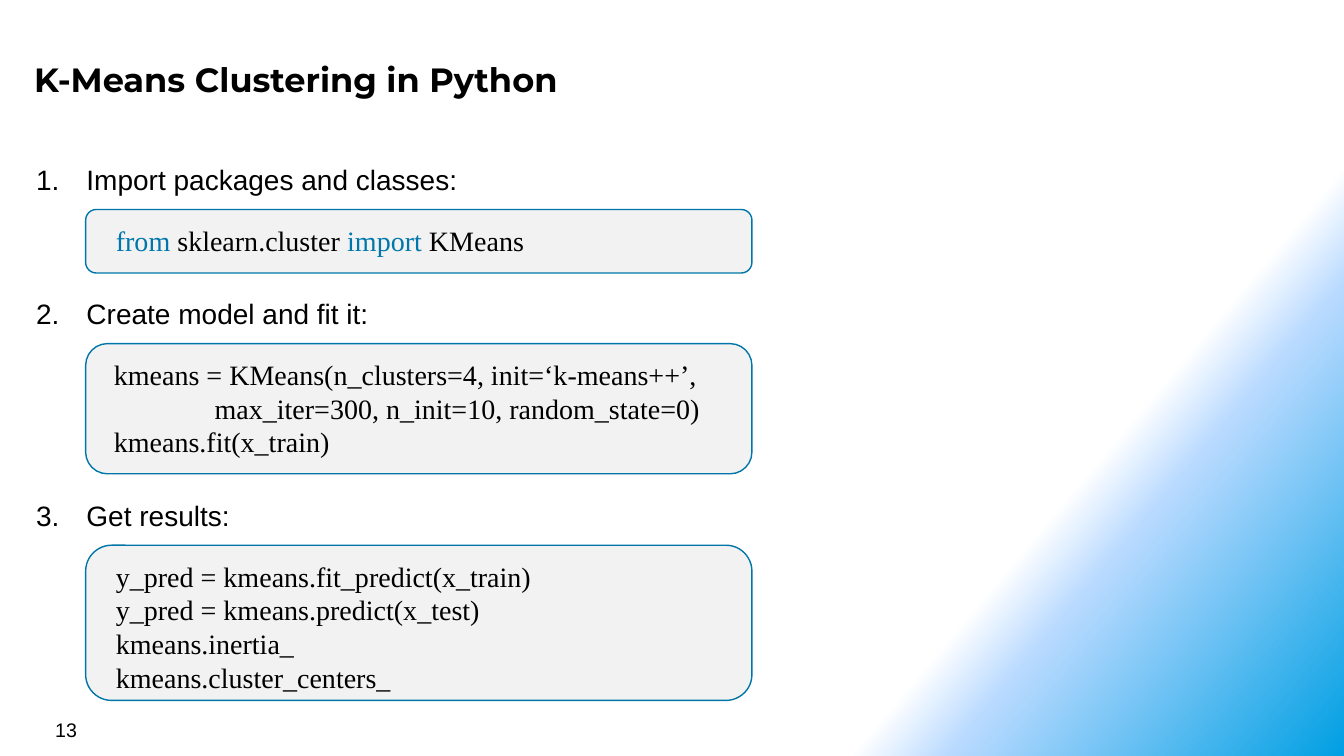
"""Build a slide on K-Means clustering in Python."""
from copy import deepcopy

from lxml import etree
from pptx import Presentation
from pptx.dml.color import RGBColor
from pptx.enum.shapes import MSO_SHAPE
from pptx.enum.text import MSO_ANCHOR, PP_ALIGN
from pptx.oxml.ns import qn
from pptx.util import Cm, Pt

ROUNDED = MSO_SHAPE.ROUNDED_RECTANGLE
MIDDLE = MSO_ANCHOR.MIDDLE
LEFT = PP_ALIGN.LEFT
COLOURS = {
    "text": "000000",
    "keyword": "0077AA",
    "panel": "F2F2F2",
    "outline": "0076A8",
    "white": "FFFFFF",
    "pale": "B9DAFF",
    "blue": "009FE3",
}


def colour(name):
    return RGBColor.from_string(COLOURS[name])


def write(paragraph, text, *, size=20, font="Arial", tint="text", bold=False, spacing=None):
    """Add one formatted run to a left-aligned paragraph."""
    paragraph.alignment = LEFT
    paragraph.line_spacing = spacing
    span = paragraph.add_run()
    span.text = text
    span.font.size = Pt(size)
    span.font.name = font
    span.font.bold = bold
    span.font.color.rgb = colour(tint)


deck = Presentation()
deck.slide_width, deck.slide_height = Cm(33.87), Cm(19.05)
page = deck.slides.add_slide(deck.slide_layouts[5])

background = page.background.fill
background.gradient()
background.gradient_angle = 320
stop_list = page.element.find(".//" + qn("a:gsLst"))
stop_list.append(deepcopy(stop_list[-1]))
stops = [(0.75, "white"), (0.8, "pale"), (1, "blue")]
for stop, (position, name) in zip(background.gradient_stops, stops):
    stop.position = position
    stop.color.rgb = colour(name)

title = page.shapes.title
title.left, title.top, title.width, title.height = Cm(0.66), Cm(1.3), Cm(31.14), Cm(1.4)
frame = title.text_frame
frame.margin_left = frame.margin_right = frame.margin_top = frame.margin_bottom = Cm(0.2)
frame.vertical_anchor = MIDDLE
write(frame.paragraphs[0], "K-Means Clustering in Python", size=24, font="Montserrat", bold=True)

number_box = page.shapes.add_textbox(Cm(1.14), Cm(17.96), Cm(7.9), Cm(0.84))
number_box.text_frame.vertical_anchor = MIDDLE
write(number_box.text_frame.paragraphs[0], "13", size=14)

steps_box = page.shapes.add_textbox(Cm(0.66), Cm(3.96), Cm(32.2), Cm(9.65))
frame = steps_box.text_frame
frame.word_wrap = True
steps = [("Import packages and classes:", 0), ("Create model and fit it:", 72), ("Get results:", 120)]
for index, (step, gap) in enumerate(steps):
    paragraph = frame.add_paragraph() if index else frame.paragraphs[0]
    write(paragraph, step, spacing=Pt(24))
    paragraph.space_before = Pt(gap)
    properties = paragraph._p.get_or_add_pPr()
    properties.set("marL", str(Cm(1.27)))
    properties.set("indent", str(-Cm(1.27)))
    etree.SubElement(properties, qn("a:buFont"), typeface="+mj-lt")
    etree.SubElement(properties, qn("a:buAutoNum"), type="arabicPeriod")

import_line = [("from ", "keyword"), ("sklearn.cluster ", "text"),
               ("import ", "keyword"), ("KMeans", "text")]
model_lines = ["kmeans = KMeans(n_clusters=4, init=‘k-means++’,",
               "max_iter=300, n_init=10, random_state=0)",
               "kmeans.fit(x_train)"]
result_lines = ["y_pred = kmeans.fit_predict(x_train)",
                "y_pred = kmeans.predict(x_test)",
                "kmeans.inertia_",
                "kmeans.cluster_centers_"]
panels = [
    (5.28, 1.6, 2.67, 16.28, [import_line]),
    (8.66, 3.28, 2.62, 15.6, [[(line, "text")] for line in model_lines]),
    (13.74, 3.91, 2.67, 15.6, [[(line, "text")] for line in result_lines]),
]
for top, height, text_left, text_width, lines in panels:
    panel = page.shapes.add_shape(ROUNDED, Cm(2.16), Cm(top), Cm(16.79), Cm(height))
    panel.shadow.inherit = False
    panel.fill.solid()
    panel.fill.fore_color.rgb = colour("panel")
    panel.line.color.rgb = colour("outline")
    panel.line.width = Pt(1)

    code_height = 0.27 + 0.85 * len(lines)
    code_box = page.shapes.add_textbox(Cm(text_left), Cm(top + 0.23), Cm(text_width), Cm(code_height))
    frame = code_box.text_frame
    frame.word_wrap = True
    for index, line in enumerate(lines):
        paragraph = frame.add_paragraph() if index else frame.paragraphs[0]
        for text, tint in line:
            write(paragraph, text, font="Times New Roman", tint=tint, spacing=Pt(24))
        if line[0][0].startswith("max_iter"):
            paragraph._p.get_or_add_pPr().set("marL", str(Cm(2.54)))

deck.save("out.pptx")
